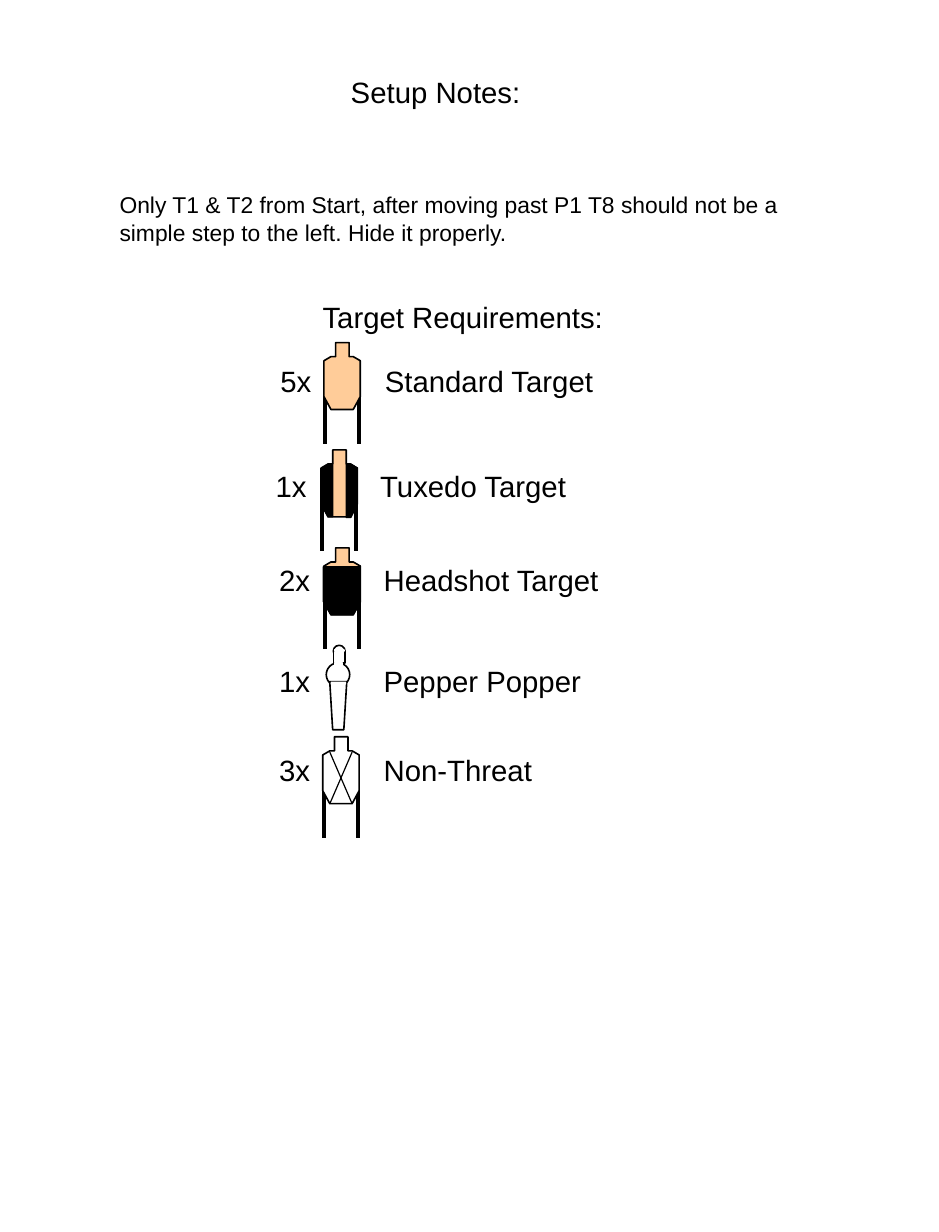
import pptx
import pptx.util
import pptx.dml.color
import pptx.enum.shapes
import pptx.enum.text
import pptx.oxml.ns
import lxml.etree

THEME = {
    "font": "Arial", "head": 18, "body": 14,
    "black": "000000", "white": "FFFFFF", "tan": "FFCC99",
    "leg": 2.25, "edge": 1, "cross": 0.75, "hair": 0,
}
BLACK, WHITE, TAN = THEME["black"], THEME["white"], THEME["tan"]
EDGE, HAIR = THEME["edge"], THEME["hair"]

# The page is a grid of 800 columns by 1050 rows.
COLS, ROWS = 800, 1050
CELL = pptx.util.Inches(0.01)
KINDS = pptx.enum.shapes.MSO_SHAPE

deck = pptx.Presentation()
deck.slide_width, deck.slide_height = COLS * CELL, ROWS * CELL
slide = deck.slides.add_slide(deck.slide_layouts[6])


def paint(shape, fill, line, width):
    """Set fill and outline; a line of None means no outline."""
    shape.shadow.inherit = False
    shape.fill.solid()
    shape.fill.fore_color.rgb = pptx.dml.color.RGBColor.from_string(fill)
    if line is None:
        shape.line.fill.background()
        return
    shape.line.color.rgb = pptx.dml.color.RGBColor.from_string(line)
    shape.line.width = pptx.util.Pt(width)


def trace(group, left, top, points, fill, width):
    """Draw a closed outline from points given relative to left and top."""
    spots = [(round((left + x) * CELL), round((top + y) * CELL)) for x, y in points]
    pen = group.shapes.build_freeform(*spots[0])
    pen.add_line_segments(spots[1:], close=True)
    paint(pen.convert_to_shape(), fill, BLACK, width)


# Boards: a shared outline on two legs, with black panels or a cross on top
BOARD = [(10, 0), (21.5, 0), (21.5, 12), (25, 12), (31, 15.5), (31, 46),
         (25, 57), (6, 57), (0, 46), (0, 15.5), (6, 12), (10, 12)]
LEGS = [(1, 42, 1, 86), (30, 42, 30, 86)]
CROSS = [(25, 13, 6, 57), (6, 13, 25, 57)]
SIDES = [
    [(21.5, 12.5), (21.5, 57.5), (25.5, 57.5), (31, 46.5), (31, 15.5), (25.5, 12)],
    [(10, 12), (10, 57), (6, 57), (0.5, 46), (0.5, 15.5), (6, 12)],
]
BODY = [[(-0.5, 16), (31, 16), (31, 46), (25, 57), (6, 57), (-0.5, 46)]]
boards = [
    (276, 292, TAN, [], []),
    (273.5, 383.5, TAN, SIDES, []),
    (276, 467, TAN, BODY, []),
    (275, 628, WHITE, [], CROSS),
]
for left, top, fill, panels, cross in boards:
    group = slide.shapes.add_group_shape()
    for lines, width in ((LEGS, THEME["leg"]), (cross, THEME["cross"])):
        for x1, y1, x2, y2 in lines:
            ends = [round(v * CELL) for v in (left + x1, top + y1, left + x2, top + y2)]
            rule = group.shapes.add_connector(
                pptx.enum.shapes.MSO_CONNECTOR.STRAIGHT, *ends)
            rule.line.color.rgb = pptx.dml.color.RGBColor.from_string(BLACK)
            rule.line.width = pptx.util.Pt(width)
            lxml.etree.SubElement(rule._element.spPr, pptx.oxml.ns.qn("a:effectLst"))
        if lines is LEGS:
            trace(group, left, top, BOARD, fill, EDGE)
    for panel in panels:
        trace(group, left, top, panel, BLACK, HAIR)

# Popper: head, chest and stem, with white strips that hide the seams
popper = slide.shapes.add_group_shape()
parts = [
    (KINDS.OVAL, 284, 550, 10, 10, BLACK),
    (KINDS.OVAL, 278, 565, 20, 20, BLACK),
    (None, 281, 581, 14.5, 41, BLACK),
    (KINDS.RECTANGLE, 284, 555, 10, 10, BLACK),
    (KINDS.RECTANGLE, 282, 581, 13, 2, None),
    (KINDS.RECTANGLE, 285, 565, 7, 2, WHITE),
    (KINDS.RECTANGLE, 285, 554, 8, 1, WHITE),
]
for kind, left, top, wide, high, line in parts:
    if kind is None:
        stem = [(0, 0), (wide, 0), (wide - 2.5, high), (2.5, high)]
        trace(popper, left, top, stem, WHITE, EDGE)
    else:
        place = [round(v * CELL) for v in (left, top, wide, high)]
        paint(popper.shapes.add_shape(kind, *place), WHITE, line, EDGE)

# Text: left, top, width, height, wrap, size, words
TAB = 89
texts = [
    (289, 58, 166, 40, False, THEME["head"], "Setup Notes:"),
    (92, 158, 617, 57, True, THEME["body"],
     "Only T1 & T2 from Start, after moving past P1 T8 should not be a "
     "simple step to the left. Hide it properly."),
    (265, 250, 270, 40, False, THEME["head"], "Target Requirements:"),
]
counts = [
    (229, 305, 289, "5x", "Standard Target"),
    (225, 394, 269, "1x", "Tuxedo Target"),
    (228, 474, 295, "2x", "Headshot Target"),
    (228, 560, 280, "1x", "Pepper Popper"),
    (228, 636, 238, "3x", "Non-Threat"),
]
texts += [(left, top, wide, 40, True, THEME["head"], f"{count}\t{label}")
          for left, top, wide, count, label in counts]

for left, top, wide, high, wrap, size, words in texts:
    box = slide.shapes.add_textbox(*(v * CELL for v in (left, top, wide, high)))
    frame = box.text_frame
    line = frame.paragraphs[0]
    if "\t" in words:
        stops = lxml.etree.SubElement(
            line._p.get_or_add_pPr(), pptx.oxml.ns.qn("a:tabLst"))
        lxml.etree.SubElement(stops, pptx.oxml.ns.qn("a:tab"),
                              pos=str(TAB * CELL), algn="l")
    run = line.add_run()
    run.text = words
    run.font.color.rgb = pptx.dml.color.RGBColor.from_string(BLACK)
    looks = {
        frame: {"word_wrap": wrap,
                "auto_size": pptx.enum.text.MSO_AUTO_SIZE.SHAPE_TO_FIT_TEXT},
        run.font: {"name": THEME["font"], "size": pptx.util.Pt(size)},
    }
    for thing, look in looks.items():
        for key, value in look.items():
            setattr(thing, key, value)

deck.save("out.pptx")
